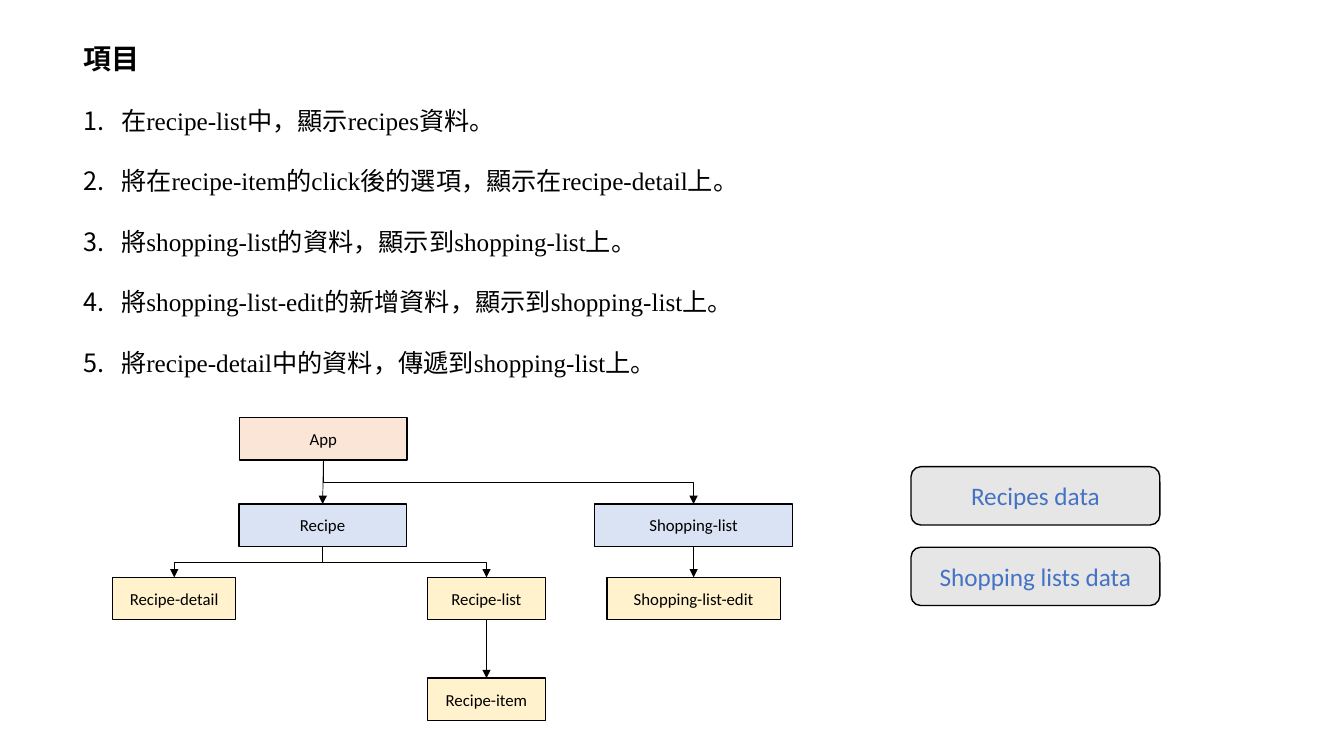
import lxml.etree
import pptx
import pptx.dml.color
import pptx.enum.shapes
import pptx.enum.text
import pptx.oxml.ns
import pptx.util

Cm, Pt = pptx.util.Cm, pptx.util.Pt
SHAPES = pptx.enum.shapes.MSO_SHAPE
CONNECTORS = pptx.enum.shapes.MSO_CONNECTOR
ALIGN = pptx.enum.text.PP_ALIGN
ANCHOR = pptx.enum.text.MSO_ANCHOR
qn = pptx.oxml.ns.qn

# Content
TITLE = "項目"
TASKS = [
    "在recipe-list中，顯示recipes資料。",
    "將在recipe-item的click後的選項，顯示在recipe-detail上。",
    "將shopping-list的資料，顯示到shopping-list上。",
    "將shopping-list-edit的新增資料，顯示到shopping-list上。",
    "將recipe-detail中的資料，傳遞到shopping-list上。",
]
# Component: (centre x in cm, row, width in cm, fill)
COMPONENTS = {
    "App": (8.15, 0, 4.22, "FBE5D6"),
    "Recipe": (8.13, 1, 4.22, "DAE3F3"),
    "Shopping-list": (17.48, 1, 4.98, "DAE3F3"),
    "Recipe-detail": (4.39, 2, 3.1, "FFF2CC"),
    "Recipe-list": (12.26, 2, 2.97, "FFF2CC"),
    "Shopping-list-edit": (17.48, 2, 4.37, "FFF2CC"),
    "Recipe-item": (12.26, 3, 2.97, "FFF2CC"),
}
LINKS = [
    ("App", "Recipe"),
    ("App", "Shopping-list"),
    ("Recipe", "Recipe-detail"),
    ("Recipe", "Recipe-list"),
    ("Shopping-list", "Shopping-list-edit"),
    ("Recipe-list", "Recipe-item"),
]
DATA_STORES = ["Recipes data", "Shopping lists data"]

# Layout and formats
ROW_TOPS = [10.52, 12.7, 14.55, 17.09]
BOX_HEIGHT = 1.07
STORE_TOP, STORE_PITCH = 11.76, 2.03
CJK_FONT = "Noto Sans CJK SC"
TITLE_FONT = {"size": Pt(20), "bold": True, "name": CJK_FONT}
TASK_FONT = {"size": Pt(18), "bold": False, "name": "Times New Roman"}
BOX_FONT = {"size": Pt(12), "name": "Calibri"}
STORE_FONT = {"size": Pt(18), "name": "Calibri"}
TASK_PARAGRAPH = {"alignment": ALIGN.LEFT, "line_spacing": Pt(21.6),
                  "space_before": Pt(0), "space_after": Pt(21.6)}


def color(value):
    return pptx.dml.color.RGBColor.from_string(value)


def apply(target, values):
    for name, value in values.items():
        setattr(target, name, value)


def add_child(parent, tag, **attributes):
    return lxml.etree.SubElement(parent, qn(tag), attributes)


def write(paragraph, text, font, font_color="000000"):
    run = paragraph.add_run()
    run.text = text
    apply(run.font, font)
    run.font.color.rgb = color(font_color)
    add_child(run.font._element, "a:ea", typeface=CJK_FONT)


def place(placeholder, left, top, width, height, anchor):
    apply(placeholder, {"left": Cm(left), "top": Cm(top),
                        "width": Cm(width), "height": Cm(height)})
    apply(placeholder.text_frame, {
        "word_wrap": True, "vertical_anchor": anchor,
        "auto_size": pptx.enum.text.MSO_AUTO_SIZE.NONE})


def add_box(slide, kind, left, top, width, height, fill, text, font, font_color):
    shape = slide.shapes.add_shape(kind, Cm(left), Cm(top), Cm(width), Cm(height))
    shape.shadow.inherit = False
    shape.fill.solid()
    shape.fill.fore_color.rgb = color(fill)
    shape.line.color.rgb = color("000000")
    shape.line.width = Pt(1)
    shape.text_frame.vertical_anchor = ANCHOR.MIDDLE
    paragraph = shape.text_frame.paragraphs[0]
    paragraph.alignment = ALIGN.CENTER
    write(paragraph, text, font, font_color)


def add_arrow(slide, start_x, start_y, end_x, end_y):
    across, down = end_x - start_x, end_y - start_y
    rotation = None
    kind, ends = CONNECTORS.STRAIGHT, (start_x, start_y, end_x, end_y)
    if abs(across) > 0.1:
        # An elbow leaves sideways, so it is turned to leave downwards
        middle_x, middle_y = (start_x + end_x) / 2, (start_y + end_y) / 2
        side = down / 2 if across > 0 else -down / 2
        half = abs(across) / 2
        kind = CONNECTORS.ELBOW
        ends = (middle_x + side, middle_y - half, middle_x - side, middle_y + half)
        rotation = 270 if across > 0 else 90
    connector = slide.shapes.add_connector(kind, *map(Cm, ends))
    connector.line.color.rgb = color("000000")
    connector.line.width = Pt(0.5)
    properties = connector._element.spPr
    if rotation:
        properties.find(qn("a:xfrm")).set("rot", str(rotation * 60000))
    add_child(properties.find(qn("a:ln")), "a:tailEnd", type="triangle")
    add_child(properties, "a:effectLst")


def main():
    presentation = pptx.Presentation()
    presentation.slide_width = Cm(33.87)
    presentation.slide_height = Cm(19.05)
    slide = presentation.slides.add_slide(presentation.slide_layouts[1])

    # Title
    title = slide.shapes.title
    place(title, 1.85, 0.89, 17.2, 1.14, ANCHOR.MIDDLE)
    paragraph = title.text_frame.paragraphs[0]
    paragraph.alignment = ALIGN.LEFT
    write(paragraph, TITLE, TITLE_FONT)

    # Numbered tasks
    body = slide.placeholders[1]
    place(body, 1.85, 2.52, 17.2, 7.9, ANCHOR.TOP)
    for index, task in enumerate(TASKS):
        frame = body.text_frame
        paragraph = frame.add_paragraph() if index else frame.paragraphs[0]
        apply(paragraph, TASK_PARAGRAPH)
        write(paragraph, task, TASK_FONT)
        properties = paragraph._p.get_or_add_pPr()
        properties.set("marL", str(Cm(0.95)))
        properties.set("indent", str(-Cm(0.95)))
        add_child(properties, "a:buFont", typeface=CJK_FONT)
        add_child(properties, "a:buAutoNum", type="arabicPeriod")

    # Component tree
    for name, (center, row, width, fill) in COMPONENTS.items():
        add_box(slide, SHAPES.RECTANGLE, center - width / 2, ROW_TOPS[row],
                width, BOX_HEIGHT, fill, name, BOX_FONT, "000000")
    for parent, child in LINKS:
        parent_x, parent_row = COMPONENTS[parent][:2]
        child_x, child_row = COMPONENTS[child][:2]
        add_arrow(slide, parent_x, ROW_TOPS[parent_row] + BOX_HEIGHT,
                  child_x, ROW_TOPS[child_row])

    # Data stores
    for index, name in enumerate(DATA_STORES):
        add_box(slide, SHAPES.ROUNDED_RECTANGLE, 22.96,
                STORE_TOP + index * STORE_PITCH, 6.27, 1.47,
                "E7E6E6", name, STORE_FONT, "4472C4")

    presentation.save("out.pptx")


if __name__ == "__main__":
    main()
